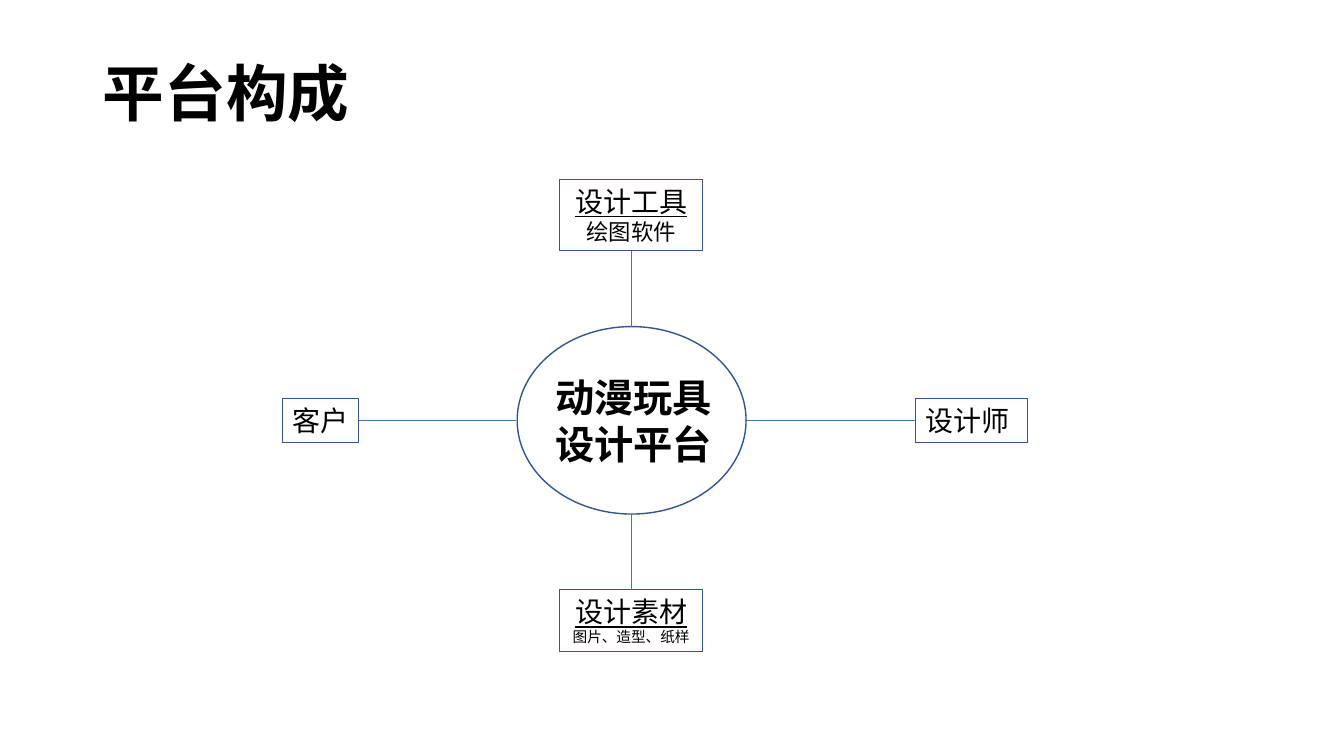
from dataclasses import dataclass

import pptx
import pptx.dml.color
import pptx.enum.shapes
import pptx.enum.text
import pptx.oxml
import pptx.oxml.ns
import pptx.util

PX = 9144  # EMU per px, 100 px to the inch
MSO = pptx.enum.shapes.MSO_SHAPE
ALIGN = pptx.enum.text.PP_ALIGN
ANCHOR = pptx.enum.text.MSO_ANCHOR
AUTO = pptx.enum.text.MSO_AUTO_SIZE


@dataclass(frozen=True)
class Theme:
    font: str = "Noto Sans CJK SC"
    text: str = "000000"
    outline: str = "325491"
    link: str = "4472C4"
    title: float = 44
    hub: float = 28
    label: float = 20
    tool: float = 16
    material: float = 10.5
    leading: float = 1.2


THEME = Theme()

# Hub ellipse: centre and size
HUB_X, HUB_Y, HUB_W, HUB_H = 626, 417, 227, 186


def px(*values):
    return [pptx.util.Emu(v * PX) for v in values]


def rgb(value):
    return pptx.dml.color.RGBColor.from_string(value)


def style_paragraph(p, size, bold=False, underline=False, align=ALIGN.LEFT):
    p.alignment = align
    p.line_spacing = pptx.util.Pt(round(size * THEME.leading, 1))
    for r in p.runs:
        r.font.size = pptx.util.Pt(size)
        r.font.bold = bold
        r.font.underline = underline
        r.font.name = THEME.font
        r.font.color.rgb = rgb(THEME.text)
        ea = pptx.oxml.parse_xml(
            f'<a:ea {pptx.oxml.ns.nsdecls("a")} typeface="{THEME.font}"/>')
        r.font._element.find(pptx.oxml.ns.qn("a:latin")).addnext(ea)


def set_frame(tf, anchor, auto_size):
    tf.word_wrap = True
    tf.vertical_anchor = anchor
    tf.auto_size = auto_size


def add_title(s, text):
    sp = s.shapes.title
    sp.left, sp.top, sp.width, sp.height = px(92, 40, 1150, 111)
    tf = sp.text_frame
    tf.text = text
    set_frame(tf, ANCHOR.MIDDLE, AUTO.NONE)
    p = tf.paragraphs[0]
    style_paragraph(p, THEME.title, bold=True)
    p.line_spacing = 0.9


def add_outline(s, kind, box, weight):
    sp = s.shapes.add_shape(kind, *px(*box))
    sp.shadow.inherit = False
    sp.fill.background()
    sp.line.color.rgb = rgb(THEME.outline)
    sp.line.width = pptx.util.Pt(weight)
    return sp


def add_hub(s, text):
    left, top = HUB_X - HUB_W // 2, HUB_Y - HUB_H // 2
    add_outline(s, MSO.OVAL, (left, top, HUB_W, HUB_H), 1)
    tf = s.shapes.add_textbox(*px(541, 365, 190, 104)).text_frame
    tf.text = text
    set_frame(tf, ANCHOR.TOP, AUTO.SHAPE_TO_FIT_TEXT)
    style_paragraph(tf.paragraphs[0], THEME.hub, bold=True)


def add_node(s, box, label, detail=None, detail_size=None):
    sp = add_outline(s, MSO.RECTANGLE, box, 0.75)
    tf = sp.text_frame
    tf.text = f"{label}\n{detail}" if detail else label
    set_frame(tf, ANCHOR.TOP, AUTO.SHAPE_TO_FIT_TEXT)
    align = ALIGN.CENTER if detail else ALIGN.LEFT
    style_paragraph(tf.paragraphs[0], THEME.label,
                    underline=bool(detail), align=align)
    if detail:
        style_paragraph(tf.paragraphs[1], detail_size, align=align)
    return sp


def add_link(s, node, side, hub_point):
    end = px(*hub_point)
    cxn = s.shapes.add_connector(
        pptx.enum.shapes.MSO_CONNECTOR.STRAIGHT, *end, *end)
    cxn.begin_connect(node, side)
    cxn.line.color.rgb = rgb(THEME.link)
    cxn.line.width = pptx.util.Pt(0.5)
    cxn._element.spPr.append(
        pptx.oxml.parse_xml(f'<a:effectLst {pptx.oxml.ns.nsdecls("a")}/>'))


def main():
    prs = pptx.Presentation()
    prs.slide_width, prs.slide_height = px(1333, 750)
    s = prs.slides.add_slide(prs.slide_layouts[5])

    add_title(s, "平台构成")
    add_hub(s, "动漫玩具设计平台")

    # Nodes around the hub: box, texts, linked side, direction from the hub
    nodes = [
        ((280, 395, 76, 44), ("客户",), 3, (-1, 0)),
        ((908, 395, 111, 44), ("设计师",), 1, (1, 0)),
        ((555, 178, 142, 71), ("设计工具", "绘图软件", THEME.tool), 2, (0, -1)),
        ((555, 585, 142, 61),
         ("设计素材", "图片、造型、纸样", THEME.material), 0, (0, 1)),
    ]
    for box, texts, side, (dx, dy) in nodes:
        node = add_node(s, box, *texts)
        hub_point = (HUB_X + dx * HUB_W // 2, HUB_Y + dy * HUB_H // 2)
        add_link(s, node, side, hub_point)

    prs.save("out.pptx")


if __name__ == "__main__":
    main()
